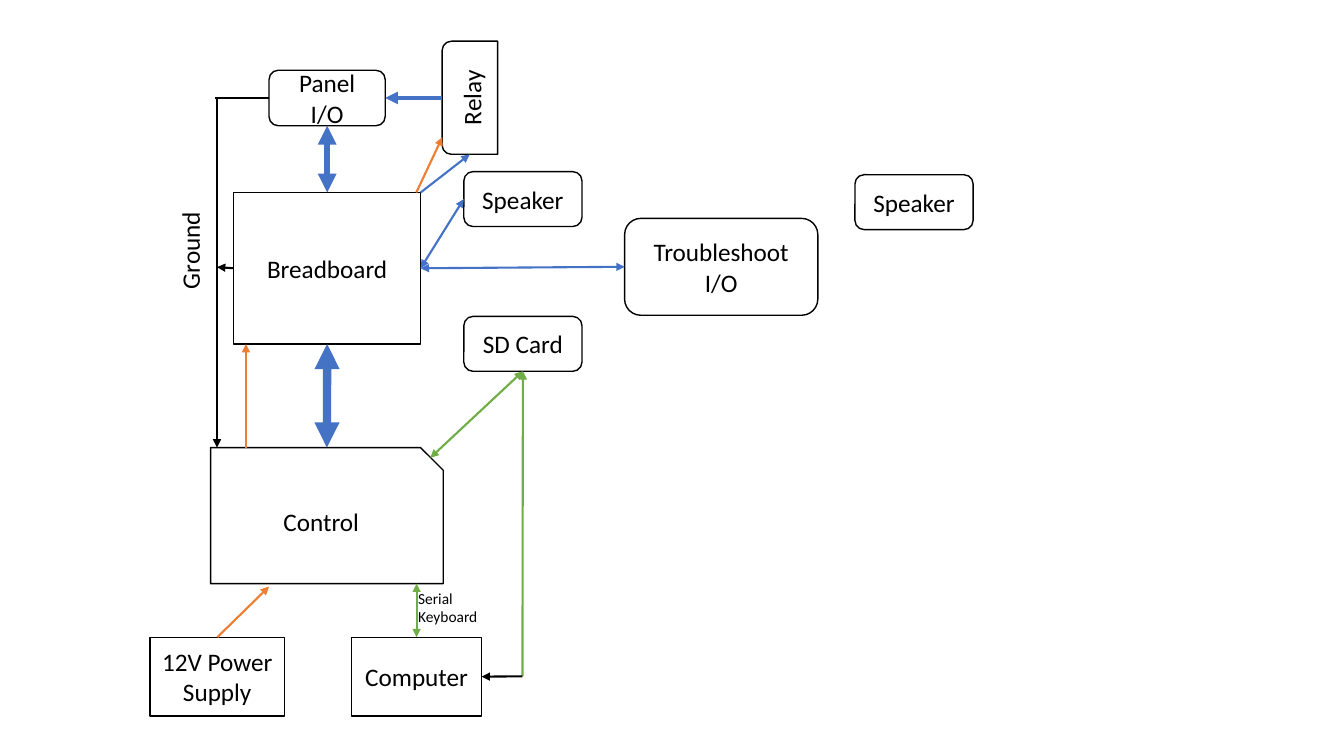
from lxml import etree
from pptx import Presentation
from pptx.dml.color import RGBColor
from pptx.enum.shapes import MSO_CONNECTOR, MSO_SHAPE
from pptx.enum.text import MSO_ANCHOR, PP_ALIGN
from pptx.oxml.ns import qn
from pptx.util import Pt

BLACK, WHITE = "000000", "FFFFFF"
BLUE, ORANGE, GREEN = "4472C4", "ED7D31", "70AD47"
TOP, LEFT, BOTTOM, RIGHT = range(4)


def color(hex_string):
    return RGBColor.from_string(hex_string)


def format_paragraph(paragraph, text, size, alignment):
    paragraph.text = text
    paragraph.alignment = alignment
    paragraph.font.name = "Calibri"
    paragraph.font.size = Pt(size)
    paragraph.font.color.rgb = color(BLACK)


presentation = Presentation()
presentation.slide_width, presentation.slide_height = Pt(960), Pt(540)
slide = presentation.slides.add_slide(presentation.slide_layouts[6])

# Component boxes: key, text, preset, left, top, width, height, rotation
RECTANGLE, ROUNDED = MSO_SHAPE.RECTANGLE, MSO_SHAPE.ROUNDED_RECTANGLE
boxes = [
    ("controller", "Control", MSO_SHAPE.SNIP_1_RECTANGLE, 150.4, 319.7, 166.2, 97.2, 0),
    ("power", "12V Power Supply", RECTANGLE, 107.3, 455.2, 95.8, 56.3, 0),
    ("computer", "Computer", RECTANGLE, 251.2, 455.2, 92.8, 56.3, 0),
    ("breadboard", "Breadboard", RECTANGLE, 166.9, 137.5, 133.6, 108.2, 0),
    ("panel", "Panel I/O", ROUNDED, 192.2, 50.2, 83, 39.6, 0),
    ("speaker", "Speaker", ROUNDED, 331.3, 122.6, 84.4, 39.2, 0),
    ("sd card", "SD Card", ROUNDED, 331.3, 226, 84.4, 39.2, 0),
    ("spare speaker", "Speaker", ROUNDED, 610.7, 124.8, 84.4, 39.2, 0),
    ("troubleshoot", "Troubleshoot I/O", ROUNDED, 446.2, 156, 138, 69.2, 0),
    ("relay", "Relay", MSO_SHAPE.ROUND_2_SAME_RECTANGLE, 295.2, 50, 80.8, 39.6, 270),
]
components = {}
for key, text, preset, left, top, width, height, rotation in boxes:
    shape = slide.shapes.add_shape(preset, Pt(left), Pt(top), Pt(width), Pt(height))
    shape.rotation = rotation
    shape.shadow.inherit = False
    shape.fill.solid()
    shape.fill.fore_color.rgb = color(WHITE)
    shape.line.color.rgb = color(BLACK)
    shape.line.width = Pt(1)
    shape.text_frame.word_wrap = True
    shape.text_frame.vertical_anchor = MSO_ANCHOR.MIDDLE
    format_paragraph(shape.text_frame.paragraphs[0], text, 18, PP_ALIGN.CENTER)
    components[key] = shape

# Labels beside the wires
labels = [
    (["Ground"], 18, 100.1, 163.4, 71.3, 29, 270),
    (["Serial", "Keyboard"], 11, 291.6, 417, 60.5, 34, 0),
]
for lines, size, left, top, width, height, rotation in labels:
    label = slide.shapes.add_textbox(Pt(left), Pt(top), Pt(width), Pt(height))
    label.rotation = rotation
    frame = label.text_frame
    frame.word_wrap = False
    for index, text in enumerate(lines):
        paragraph = frame.add_paragraph() if index else frame.paragraphs[0]
        format_paragraph(paragraph, text, size, PP_ALIGN.LEFT)

# Wires: an end is a point or a (component, side) pair
GROUND_X, RELAY_Y = 155, 70
SD_CORNER = (373.2, 483.1)
ONE_WAY, TWO_WAY = ["tailEnd"], ["headEnd", "tailEnd"]
wires = [
    # Ground
    (("panel", LEFT), (153.4, RELAY_Y), BLACK, 1.5, []),
    ((GROUND_X, RELAY_Y), (GROUND_X, 164), BLACK, 1.5, []),
    ((GROUND_X, 164), (GROUND_X, 319.7), BLACK, 1.5, ONE_WAY),
    (("breadboard", LEFT), (GROUND_X, 190.8), BLACK, 1.5, ONE_WAY),
    # Power
    (("power", TOP), (192.2, 419), ORANGE, 1.5, ONE_WAY),
    ((175.7, 319.7), (175.7, 245.7), ORANGE, 1.5, ONE_WAY),
    ((297.4, 137.5), (316, 98), ORANGE, 1.5, ONE_WAY),
    # Signals
    (("breadboard", TOP), ("panel", BOTTOM), BLUE, 4.5, TWO_WAY),
    (("controller", TOP), ("breadboard", BOTTOM), BLUE, 6, TWO_WAY),
    (("breadboard", RIGHT), ("speaker", LEFT), BLUE, 1.5, TWO_WAY),
    (("breadboard", RIGHT), ("troubleshoot", LEFT), BLUE, 1.5, TWO_WAY),
    ((316, RELAY_Y), ("panel", RIGHT), BLUE, 3, ONE_WAY),
    ((300.5, 137.5), (335.5, 110.3), BLUE, 1.5, ONE_WAY),
    # Data
    ((307.4, 327), ("sd card", BOTTOM), GREEN, 1.5, TWO_WAY),
    (SD_CORNER, ("sd card", BOTTOM), GREEN, 1.5, ONE_WAY),
    (SD_CORNER, ("computer", RIGHT), BLACK, 1.5, ONE_WAY),
    (("computer", TOP), (297.6, 416.9), GREEN, 1.5, TWO_WAY),
]
for start, end, wire_color, weight, arrowheads in wires:
    connector = slide.shapes.add_connector(MSO_CONNECTOR.STRAIGHT, 0, 0, 0, 0)
    if start[0] in components:
        connector.begin_connect(components[start[0]], start[1])
    else:
        connector.begin_x, connector.begin_y = Pt(start[0]), Pt(start[1])
    if end[0] in components:
        connector.end_connect(components[end[0]], end[1])
    else:
        connector.end_x, connector.end_y = Pt(end[0]), Pt(end[1])
    connector.line.color.rgb = color(wire_color)
    connector.line.width = Pt(weight)
    line = connector.line._get_or_add_ln()
    for arrowhead in arrowheads:
        etree.SubElement(line, qn(f"a:{arrowhead}"), type="triangle")
    etree.SubElement(connector._element.spPr, qn("a:effectLst"))

presentation.save("out.pptx")
